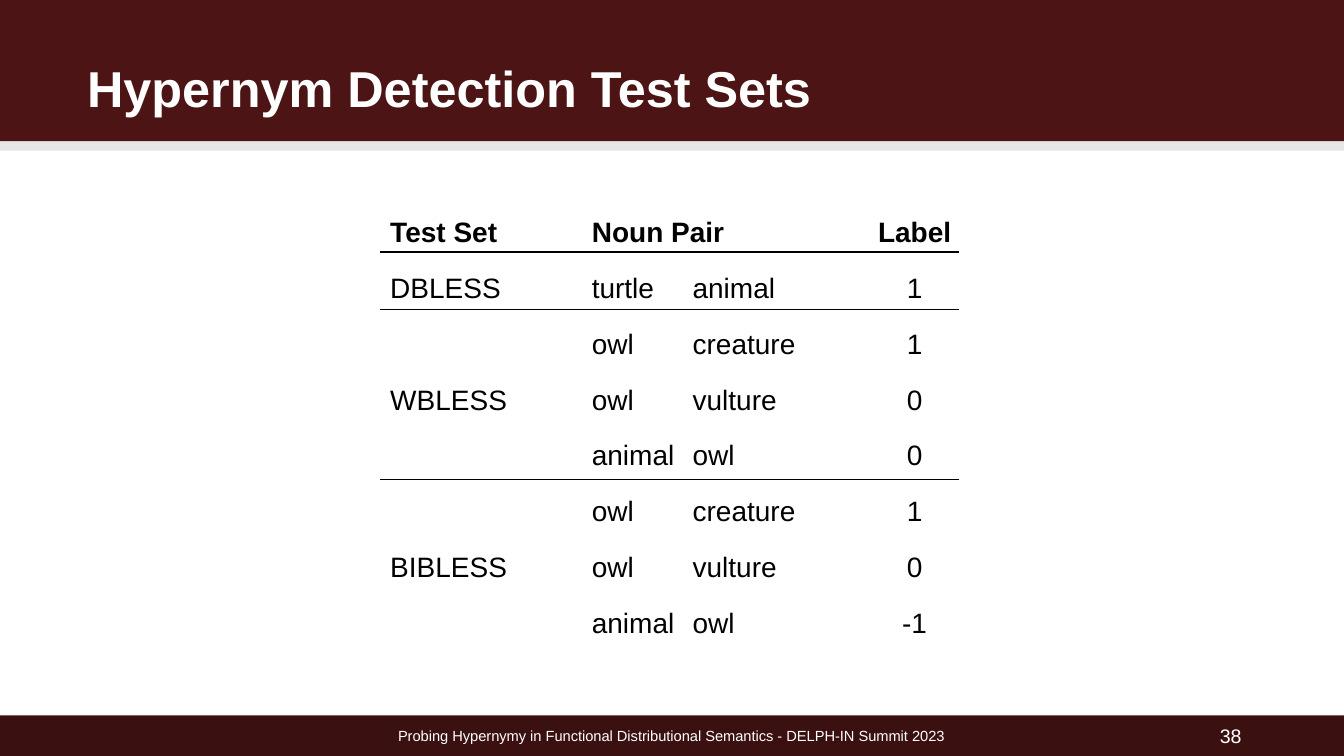
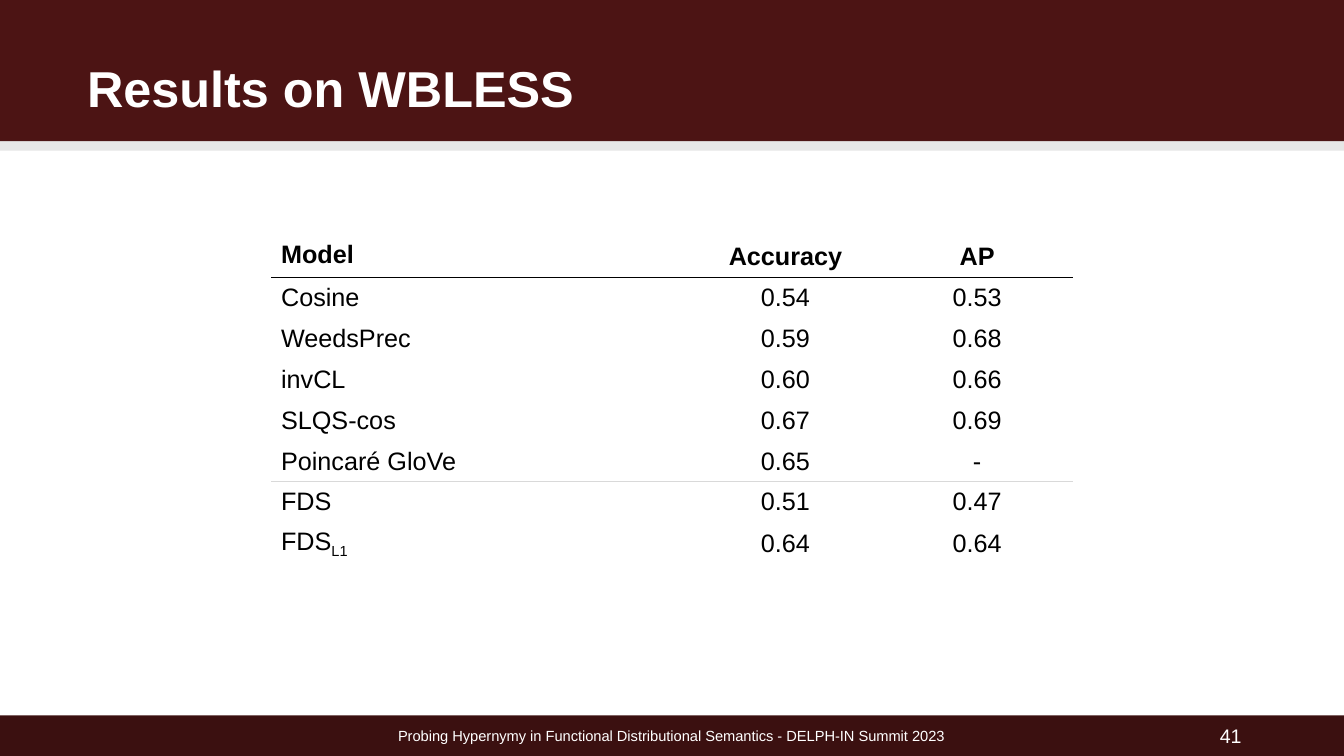
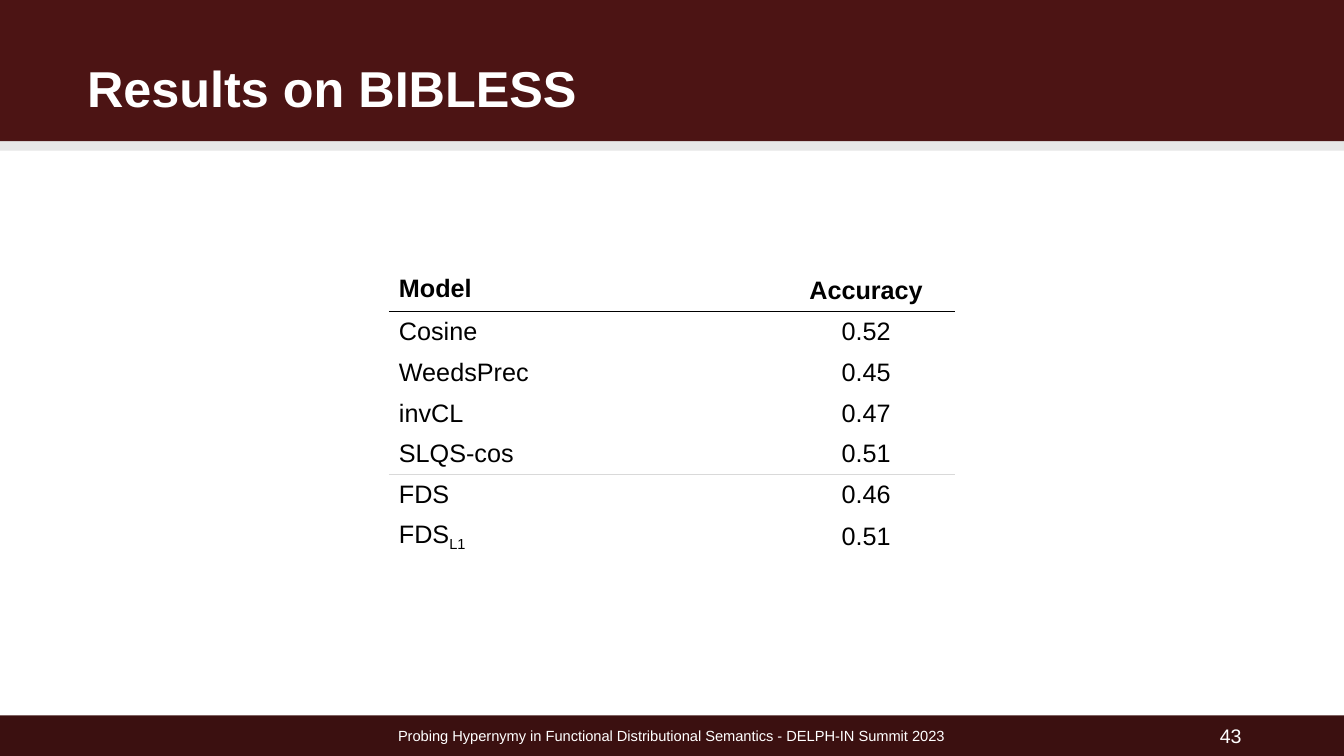
from pptx import Presentation
from pptx.dml.color import RGBColor
from pptx.enum.shapes import MSO_CONNECTOR, MSO_SHAPE
from pptx.enum.text import MSO_ANCHOR, MSO_AUTO_SIZE, PP_ALIGN
from pptx.oxml import parse_xml
from pptx.oxml.ns import nsdecls, qn
from pptx.util import Cm, Pt

WINE = RGBColor(0x4C, 0x14, 0x14)
DARK = RGBColor(0x3B, 0x10, 0x10)
MIST = RGBColor(0xE6, 0xE6, 0xE6)
GREY = RGBColor(0xD9, 0xD9, 0xD9)
BLACK = RGBColor(0, 0, 0)
WHITE = RGBColor(0xFF, 0xFF, 0xFF)

FONT = "Arial"
FOOTER = "Probing Hypernymy in Functional Distributional Semantics - DELPH-IN Summit 2023"
WIDTH = 33.87
PLAIN = "{2D5ABB26-0587-4C30-8999-92F81FD0307C}"  # table style without fill or grid


class Deck:
    def __init__(self):
        self.prs = Presentation()
        self.prs.slide_width, self.prs.slide_height = Cm(WIDTH), Cm(19.05)
        self.layout = self.prs.slide_layouts[5]
        self.slide = None

    def start(self, title, number):
        first = self.slide is None
        self.slide = self.prs.slides.add_slide(self.layout)
        if first:
            self.bands()
        self.title(title)
        self.label(FOOTER, 9.59, 14.68, 10.5, PP_ALIGN.CENTER)
        self.label(number, 24.74, 6.8, 14, PP_ALIGN.RIGHT)

    def bands(self):
        """Draw the bands and move them to the layout, behind its placeholders."""
        tree = self.layout.element.cSld.spTree
        bands = (18.03, 1.02, DARK), (0.24, 3.56, MIST), (0, 3.56, WINE)
        for index, (top, height, color) in enumerate(bands):
            band = self.slide.shapes.add_shape(
                MSO_SHAPE.RECTANGLE, 0, Cm(top), Cm(WIDTH), Cm(height))
            band.shadow.inherit = False
            band.fill.solid()
            band.fill.fore_color.rgb = color
            band.line.fill.background()
            tree.insert(2 + index, band.element)

    def title(self, text):
        box = self.slide.shapes.title
        box.left, box.top, box.width, box.height = Cm(1.94), Cm(1.04), Cm(30), Cm(2.51)
        frame = box.text_frame
        frame.auto_size = MSO_AUTO_SIZE.NONE
        frame.vertical_anchor = MSO_ANCHOR.MIDDLE
        para = frame.paragraphs[0]
        para.alignment = PP_ALIGN.LEFT
        para.line_spacing = 0.9
        self.run(para, text, 36, WHITE, True)

    def label(self, text, left, width, size, align):
        box = self.slide.shapes.add_textbox(Cm(left), Cm(18.16), Cm(width), Cm(0.74))
        frame = box.text_frame
        frame.word_wrap = True
        frame.vertical_anchor = MSO_ANCHOR.MIDDLE
        para = frame.paragraphs[0]
        para.alignment = align
        self.run(para, text, size, WHITE)

    def run(self, para, text, size, color=BLACK, bold=False):
        run = para.add_run()
        run.text = text
        font = run.font
        font.name, font.size, font.bold = FONT, Pt(size), bold
        font.color.rgb = color
        return run

    def line(self, left, right, top, points):
        line = self.slide.shapes.add_connector(
            MSO_CONNECTOR.STRAIGHT, Cm(left), Cm(top), Cm(right), Cm(top))
        line.line.color.rgb = BLACK
        line.line.width = Pt(points)
        line.element.spPr.append(parse_xml(f'<a:effectLst {nsdecls("a")}/>'))

    def table(self, rows, left, top, widths, height, size, centred, rules,
              anchor=MSO_ANCHOR.MIDDLE):
        """Draw rows; rules maps a row to the colour of the line below it."""
        frame = self.slide.shapes.add_table(
            len(rows), len(widths), Cm(left), Cm(top),
            Cm(sum(widths)), Cm(height * len(rows)))
        table = frame.table
        table.first_row = table.horz_banding = False
        frame.element.find(".//" + qn("a:tableStyleId")).text = PLAIN
        for col, width in zip(table.columns, widths):
            col.width = Cm(width)
        for r, row in enumerate(rows):
            table.rows[r].height = Cm(height)
            for c, text in enumerate(row):
                cell = table.cell(r, c)
                cell.fill.background()
                cell.vertical_anchor = anchor
                cell.margin_top = cell.margin_bottom = Cm(0.1)
                cell.margin_right = 0
                if c in centred:
                    cell.margin_left = 0
                self.fill(cell, text, size, r == 0, c in centred)
                self.rule(cell, "lnB", rules.get(r))
                self.rule(cell, "lnT", rules.get(r - 1))
        return table

    def fill(self, cell, text, size, bold, centre):
        """Write text; what follows an underscore is set as a subscript."""
        para = cell.text_frame.paragraphs[0]
        para.alignment = PP_ALIGN.CENTER if centre else PP_ALIGN.LEFT
        main, _, sub = text.partition("_")
        if main:
            self.run(para, main, size, bold=bold)
        if sub:
            run = self.run(para, sub, size, bold=bold)
            run.font._element.set("baseline", "-25000")

    def rule(self, cell, side, color):
        """Set one border of a cell, or clear it where there is no colour."""
        paint = "<a:noFill/>"
        if color is not None:
            paint = f'<a:solidFill><a:srgbClr val="{color}"/></a:solidFill>'
        cell._tc.get_or_add_tcPr().insert(0, parse_xml(
            f'<a:{side} {nsdecls("a")} w="{Pt(1)}">{paint}</a:{side}>'))


PAIRS = [
    ("Test Set", "Noun Pair", "", "Label"),
    ("DBLESS", "turtle", "animal", "1"),
    ("", "owl", "creature", "1"),
    ("WBLESS", "owl", "vulture", "0"),
    ("", "animal", "owl", "0"),
    ("", "owl", "creature", "1"),
    ("BIBLESS", "owl", "vulture", "0"),
    ("", "animal", "owl", "-1"),
]

WBLESS = [
    ("Model", "Accuracy", "AP"),
    ("Cosine", "0.54", "0.53"),
    ("WeedsPrec", "0.59", "0.68"),
    ("invCL", "0.60", "0.66"),
    ("SLQS-cos", "0.67", "0.69"),
    ("Poincaré GloVe", "0.65", "-"),
    ("FDS", "0.51", "0.47"),
    ("FDS_L1", "0.64", "0.64"),
]

BIBLESS = [
    ("Model", "Accuracy"),
    ("Cosine", "0.52"),
    ("WeedsPrec", "0.45"),
    ("invCL", "0.47"),
    ("SLQS-cos", "0.51"),
    ("FDS", "0.46"),
    ("FDS_L1", "0.51"),
]


def main():
    deck = Deck()

    deck.start("Hypernym Detection Test Sets", "38")
    pairs = deck.table(PAIRS, 9.58, 4.94, (5.08, 2.54, 4.72, 2.26), 1.41, 20,
                       {3}, {}, MSO_ANCHOR.BOTTOM)
    pairs.cell(0, 1).merge(pairs.cell(0, 2))
    for top, points in (6.35, 1.5), (7.8, 1), (12.09, 1):
        deck.line(9.58, 24.16, top, points)

    deck.start("Results on WBLESS", "41")
    scores = deck.table(WBLESS, 6.83, 5.96, (10.55, 4.83, 4.83), 1.03, 18,
                        {1, 2}, {0: BLACK, 5: GREY})
    scores.cell(0, 0).vertical_anchor = MSO_ANCHOR.TOP

    deck.start("Results on BIBLESS", "43")
    scores = deck.table(BIBLESS, 9.8, 6.81, (9.78, 4.49), 1.03, 18,
                        {1}, {0: BLACK, 4: GREY})
    scores.cell(0, 0).vertical_anchor = MSO_ANCHOR.TOP

    deck.prs.save("out.pptx")


if __name__ == "__main__":
    main()
